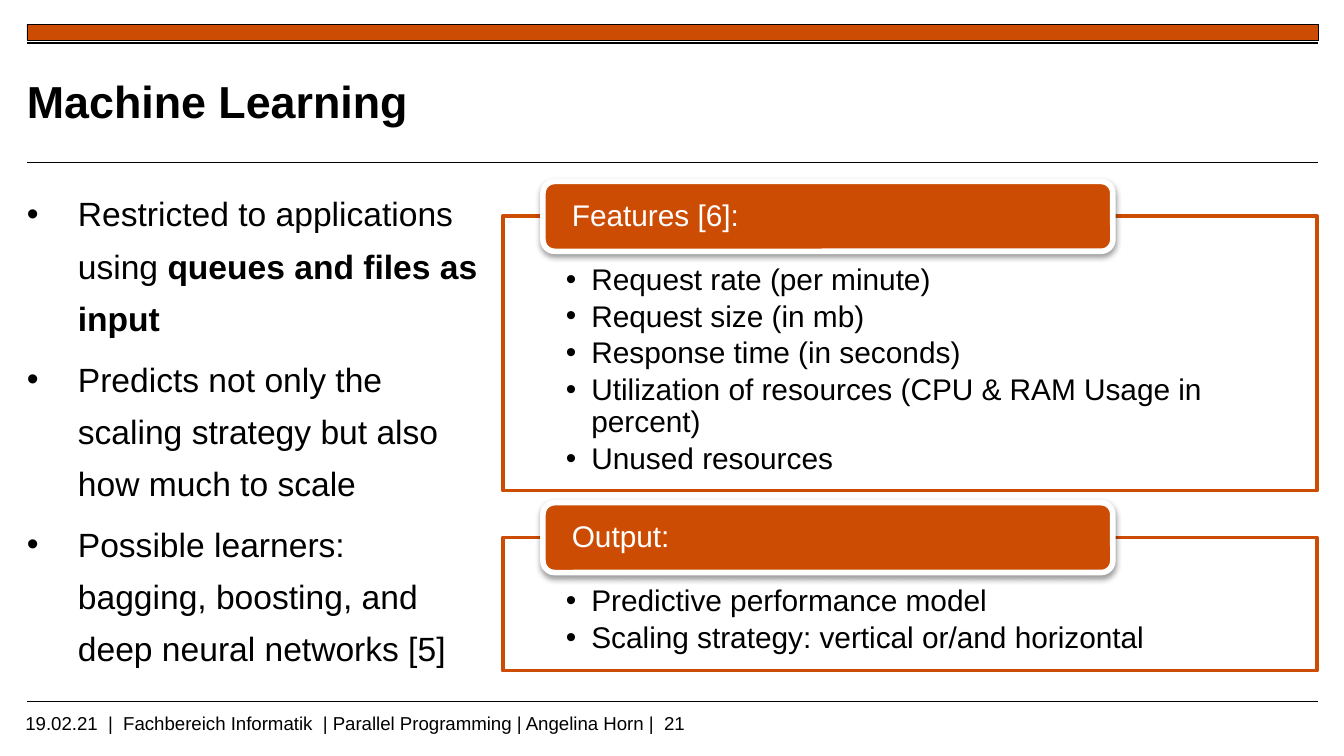
"""Build the Machine Learning slide with its feature and output panels."""
from lxml.etree import SubElement
from pptx import Presentation
from pptx.dml.color import RGBColor
from pptx.enum.shapes import MSO_CONNECTOR, MSO_SHAPE
from pptx.enum.text import MSO_ANCHOR, PP_ALIGN
from pptx.oxml.ns import qn
from pptx.util import Inches, Pt

COLORS = {"accent": "CC4C03", "text": "000000", "paper": "FFFFFF"}
FONT = "Arial"
LEFT, RIGHT = 0.2, 9.81
TITLE = "Machine Learning"
FOOTER = "19.02.21  |  Fachbereich Informatik  | Parallel Programming | Angelina Horn |  21"
RULES = [(0.32, 1.2), (1.21, 0.6), (5.22, 0.6)]
POINTS = [
    [("Restricted to applications using ", False), ("queues and files as input", True)],
    [("Predicts not only the scaling strategy but also how much to scale", False)],
    [("Possible learners:  bagging, boosting, and deep neural networks [5]", False)],
]
PANELS = [
    {"heading": "Features [6]:", "top": 1.61, "height": 2.04, "items": [
        "Request rate (per minute)",
        "Request size (in mb)",
        "Response time (in seconds)",
        "Utilization of resources (CPU & RAM Usage in percent)",
        "Unused resources",
    ]},
    {"heading": "Output:", "top": 4, "height": 0.99, "items": [
        "Predictive performance model",
        "Scaling strategy: vertical or/and horizontal",
    ]},
]


def color(name):
    return RGBColor.from_string(COLORS[name])


def add_box(slide, kind, box, fill, line, width):
    shape = slide.shapes.add_shape(kind, *map(Inches, box))
    shape.shadow.inherit = False
    shape.fill.solid()
    shape.fill.fore_color.rgb = color(fill)
    shape.line.color.rgb = color(line)
    shape.line.width = Pt(width)
    return shape


def add_rule(slide, top, width):
    rule = slide.shapes.add_connector(
        MSO_CONNECTOR.STRAIGHT, Inches(LEFT), Inches(top), Inches(RIGHT), Inches(top))
    rule.line.color.rgb = color("text")
    rule.line.width = Pt(width)
    SubElement(rule._element.spPr, qn("a:effectLst"))


def add_shadow(shape):
    effects = shape._element.spPr.find(qn("a:effectLst"))
    shadow = SubElement(effects, qn("a:outerShdw"), blurRad=str(Pt(3.1)),
                        dist=str(Pt(1.6)), dir="5400000", rotWithShape="0")
    tint = SubElement(shadow, qn("a:srgbClr"), val=COLORS["text"])
    SubElement(tint, qn("a:alpha"), val="38000")


def write(shape, paragraphs, size, insets, anchor=MSO_ANCHOR.TOP, ink="text",
          indent=0, line_spacing=None, before=0, after=0):
    frame = shape.text_frame
    frame.word_wrap = True
    frame.vertical_anchor = anchor
    (frame.margin_left, frame.margin_top,
     frame.margin_right, frame.margin_bottom) = map(Inches, insets)
    for index, runs in enumerate(paragraphs):
        paragraph = frame.add_paragraph() if index else frame.paragraphs[0]
        paragraph.alignment = PP_ALIGN.LEFT
        paragraph.line_spacing = line_spacing
        paragraph.space_before, paragraph.space_after = Pt(before), Pt(after)
        if indent:
            properties = paragraph._p.get_or_add_pPr()
            properties.set("marL", str(Inches(indent)))
            properties.set("indent", str(-Inches(indent)))
            SubElement(properties, qn("a:buFont"), typeface=FONT)
            SubElement(properties, qn("a:buChar"), char="•")
        for text, bold in runs:
            run = paragraph.add_run()
            run.text = text
            run.font.name, run.font.size, run.font.bold = FONT, Pt(size), bold
            run.font.color.rgb = color(ink)


def add_text(slide, box, *content, **style):
    write(slide.shapes.add_textbox(*map(Inches, box)), *content, **style)


def add_panel(slide, panel):
    top = panel["top"]
    body = add_box(slide, MSO_SHAPE.RECTANGLE, (3.74, top, 6.06, panel["height"]),
                   "paper", "accent", 2)
    write(body, [[(item, False)] for item in panel["items"]], 16, (0.47, 0.36, 0.47, 0.12),
          indent=0.19, line_spacing=0.9, after=2.4)
    header = add_box(slide, MSO_SHAPE.ROUNDED_RECTANGLE, (4.04, top - 0.26, 4.24, 0.52),
                     "accent", "paper", 3)
    add_shadow(header)
    write(header, [[(panel["heading"], False)]], 16, (0.19, 0, 0.19, 0),
          MSO_ANCHOR.MIDDLE, "paper", line_spacing=0.9)


def main():
    presentation = Presentation()
    presentation.slide_width = Inches(10)
    presentation.slide_height = presentation.slide_width * 9 // 16
    slide = presentation.slides.add_slide(presentation.slide_layouts[6])
    add_box(slide, MSO_SHAPE.RECTANGLE, (LEFT, 0.18, RIGHT - LEFT, 0.12),
            "accent", "text", 0.25)
    for top, width in RULES:
        add_rule(slide, top, width)
    add_text(slide, (0.09, 5.25, 7.95, 0.19), [[(FOOTER, False)]], 10, (0.1, 0.05, 0.1, 0.05))
    add_text(slide, (LEFT, 1.3, 3.44, 3.75), POINTS, 18, (0, 0.05, 0, 0.05),
             indent=0.38, line_spacing=1.3, before=2, after=2.2)
    add_text(slide, (LEFT, 0.4, 7.48, 0.69), [[(TITLE, True)]], 24, (0, 0, 0, 0),
             anchor=MSO_ANCHOR.MIDDLE)
    for panel in PANELS:
        add_panel(slide, panel)
    presentation.save("out.pptx")


if __name__ == "__main__":
    main()
